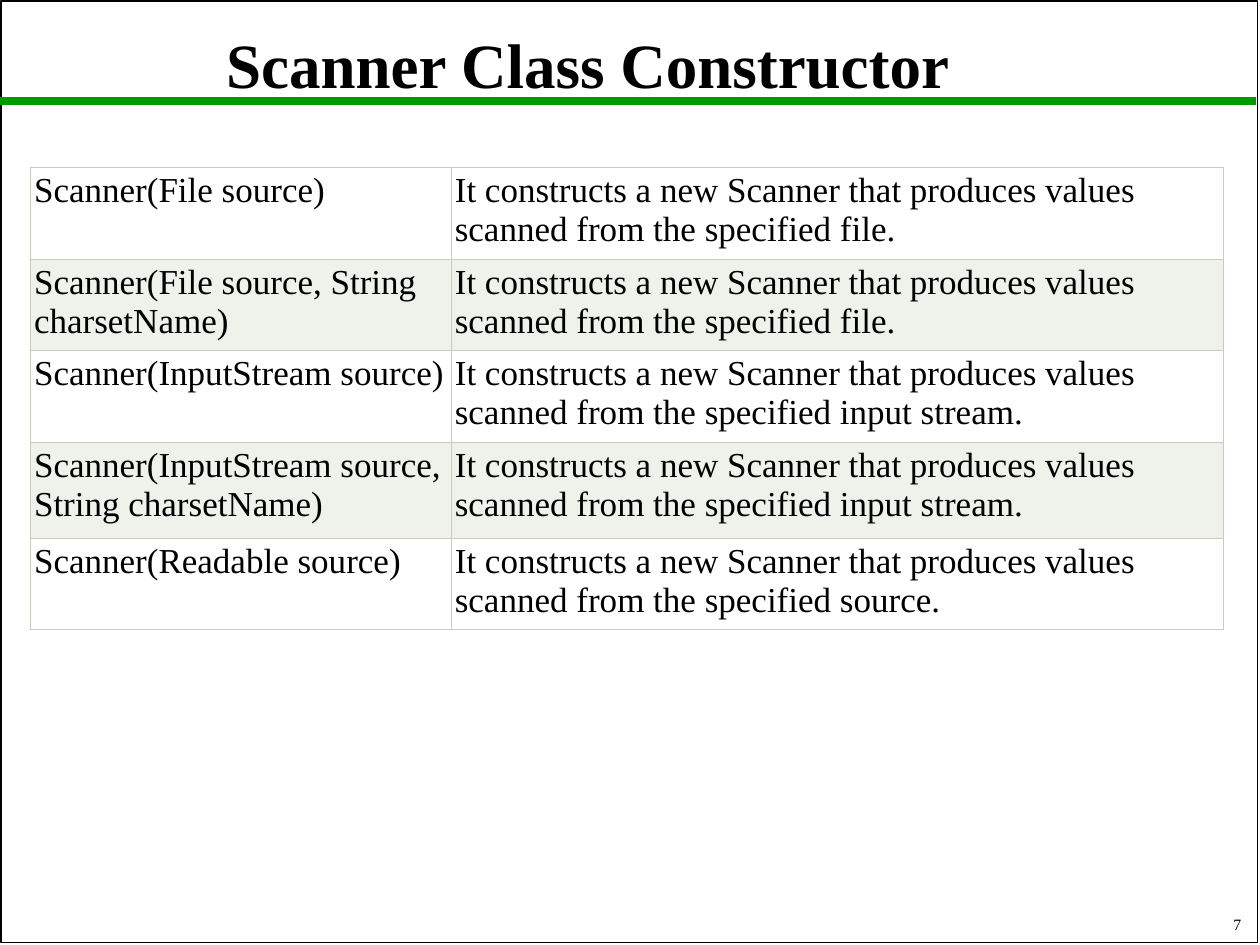
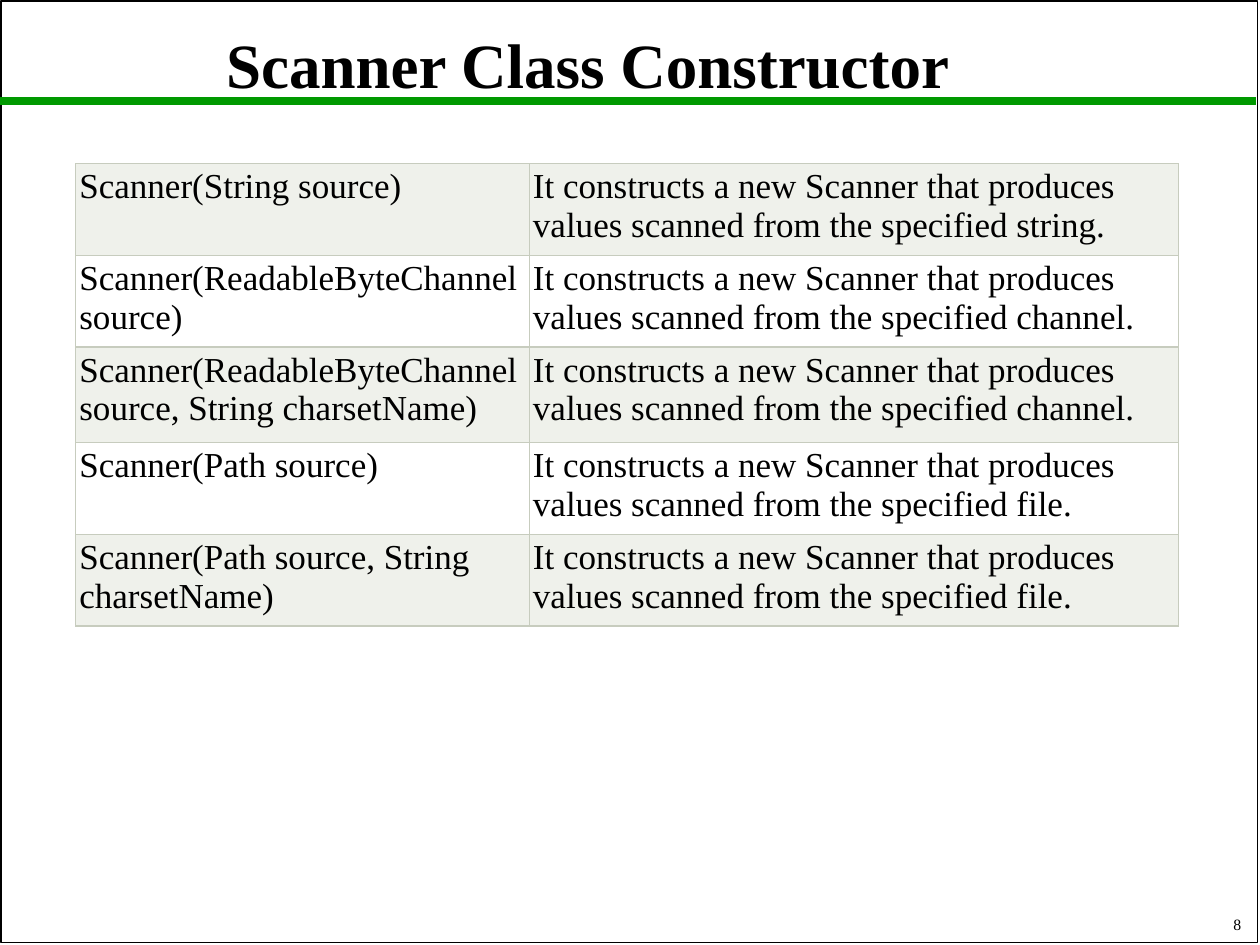
from pptx import Presentation
from pptx.dml.color import RGBColor as RGB
from pptx.enum.shapes import MSO_CONNECTOR as LINK, MSO_SHAPE as SHAPE
from pptx.enum.text import MSO_ANCHOR as ANCHOR, MSO_AUTO_SIZE as FIT, PP_ALIGN as ALIGN
from pptx.oxml import parse_xml
from pptx.oxml.ns import nsdecls
from pptx.util import Inches, Pt

TITLE = "Scanner Class Constructor"
SENTENCE = "It constructs a new Scanner that produces values scanned from the specified {}."

# Each page: number, table corner, column widths, tall row, (arguments, origin) rows
PAGES = [
    dict(num=7, left=0.24, top=1.33, cols=(3.34, 6.13), tall=3, rows=[
        ("File source", "file"),
        ("File source, String charsetName", "file"),
        ("InputStream source", "input stream"),
        ("InputStream source, String charsetName", "input stream"),
        ("Readable source", "source"),
    ]),
    dict(num=8, left=0.6, top=1.3, cols=(3.6, 5.15), tall=2, rows=[
        ("String source", "string"),
        ("ReadableByteChannel source", "channel"),
        ("ReadableByteChannel source, String charsetName", "channel"),
        ("Path source", "file"),
        ("Path source, String charsetName", "file"),
    ]),
]

THEME = dict(
    ink="000000", rule="009900", grid="C7CCBE", bands=("FFFFFF", "EFF1EB"),
    title=dict(name="Times New Roman", size=Pt(36), bold=True),
    body=dict(name="Times New Roman", size=Pt(20), bold=False),
    foot=dict(name="Times New Roman", size=Pt(9), bold=False),
)
WIDE, HIGH = 10, 7.5
EDGE, RULE_Y = 0.01, 0.8
ROW, TALL, PAD = 0.69, 0.76, 0.03


def box(*sizes):
    return [Inches(size) for size in sizes]


def assign(item, values):
    for key, value in values.items():
        setattr(item, key, value)


def write(frame, text, style, align=ALIGN.LEFT, **values):
    """Fill a text frame with one paragraph in a theme style."""
    frame.text = text
    para = frame.paragraphs[0]
    assign(para, dict(alignment=align, **values))
    font = para.runs[0].font
    assign(font, THEME[style])
    font.color.rgb = RGB.from_string(THEME["ink"])


def stroke(line, color, width):
    line.color.rgb = RGB.from_string(THEME[color])
    line.width = Pt(width)


def add_frame(slide):
    """Draw the page outline and the green rule under the title."""
    page = slide.shapes.add_shape(
        SHAPE.RECTANGLE, *box(EDGE, EDGE, WIDE - 3 * EDGE, HIGH - 3 * EDGE))
    page.shadow.inherit = False
    page.fill.background()
    stroke(page.line, "ink", 1)
    rule = slide.shapes.add_connector(
        LINK.STRAIGHT, *box(0, RULE_Y, WIDE - 0.03, RULE_Y))
    stroke(rule.line, "rule", 4.5)
    rule._element.spPr.append(parse_xml(f"<a:effectLst {nsdecls('a')}/>"))


def add_title(slide):
    title = slide.shapes.title
    assign(title, dict(zip(("left", "top", "width", "height"),
                           box(0.08, 0.08, 9.17, 0.92))))
    frame = title.text_frame
    assign(frame, dict(auto_size=FIT.NONE, word_wrap=True,
                       vertical_anchor=ANCHOR.MIDDLE))
    write(frame, TITLE, "title", ALIGN.CENTER, line_spacing=0.9)


def add_number(slide, num):
    frame = slide.shapes.add_textbox(*box(7.87, 7.17, 2.08, 0.29)).text_frame
    assign(frame, dict(word_wrap=True, vertical_anchor=ANCHOR.BOTTOM))
    write(frame, str(num), "foot", ALIGN.RIGHT)


def add_borders(cell):
    props = cell._tc.get_or_add_tcPr()
    for spot, side in enumerate("LRTB"):
        props.insert(spot, parse_xml(
            f'<a:ln{side} {nsdecls("a")} w="{Pt(0.75)}"><a:solidFill>'
            f'<a:srgbClr val="{THEME["grid"]}"/></a:solidFill></a:ln{side}>'))


def add_grid(slide, page, start):
    """Add the table; start is the count of rows on earlier pages."""
    rows, cols = page["rows"], page["cols"]
    highs = [TALL if pos == page["tall"] else ROW for pos in range(len(rows))]
    table = slide.shapes.add_table(
        len(rows), len(cols),
        *box(page["left"], page["top"], sum(cols), sum(highs))).table
    assign(table, dict(first_row=False, horz_banding=False))
    for col, width in zip(table.columns, cols):
        col.width = Inches(width)
    for pos, (args, origin) in enumerate(rows):
        table.rows[pos].height = Inches(highs[pos])
        band = THEME["bands"][(start + pos) % 2]
        texts = f"Scanner({args})", SENTENCE.format(origin)
        for cell, text in zip(table.rows[pos].cells, texts):
            assign(cell, {f"margin_{side}": Inches(PAD)
                          for side in ("left", "right", "top", "bottom")})
            cell.fill.solid()
            cell.fill.fore_color.rgb = RGB.from_string(band)
            write(cell.text_frame, text, "body")
            add_borders(cell)


def main():
    deck = Presentation()
    deck.slide_width, deck.slide_height = box(WIDE, HIGH)
    start = 0
    for page in PAGES:
        slide = deck.slides.add_slide(deck.slide_layouts[5])
        add_frame(slide)
        add_title(slide)
        add_number(slide, page["num"])
        add_grid(slide, page, start)
        start += len(page["rows"])
    deck.save("out.pptx")


if __name__ == "__main__":
    main()
